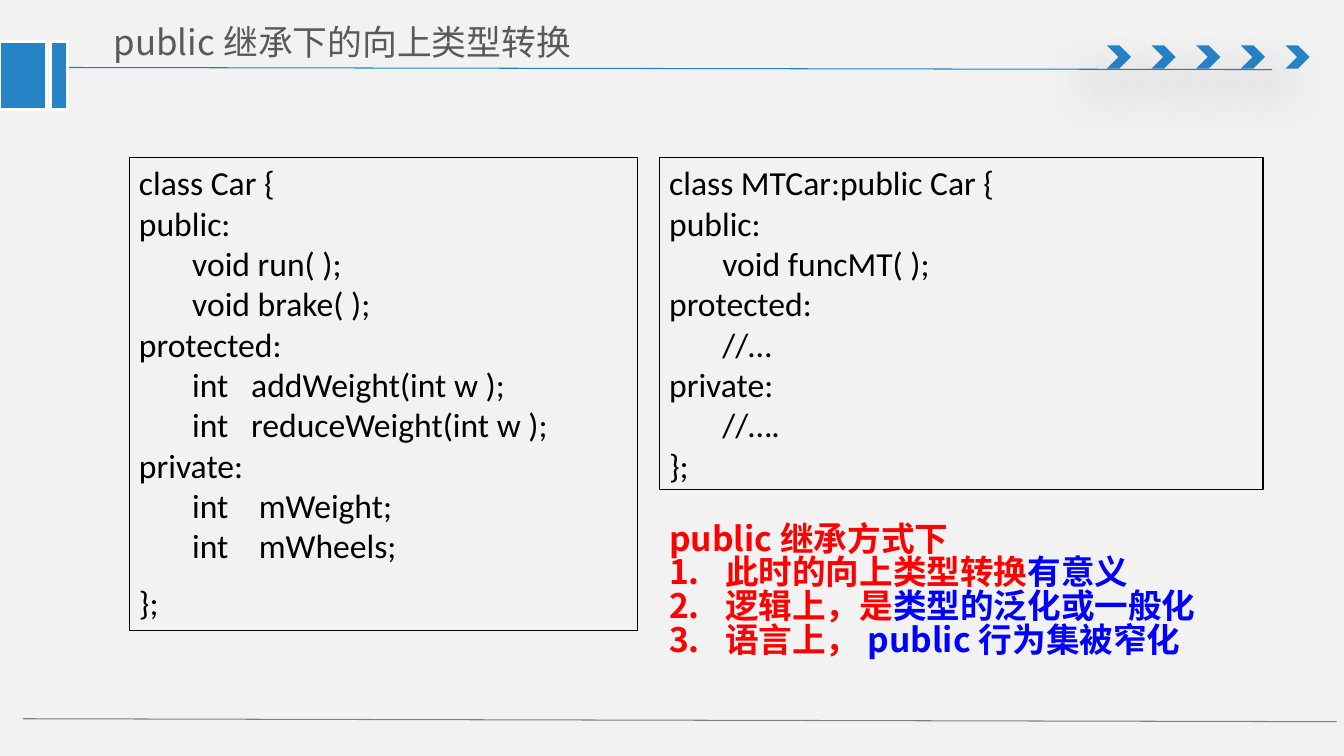
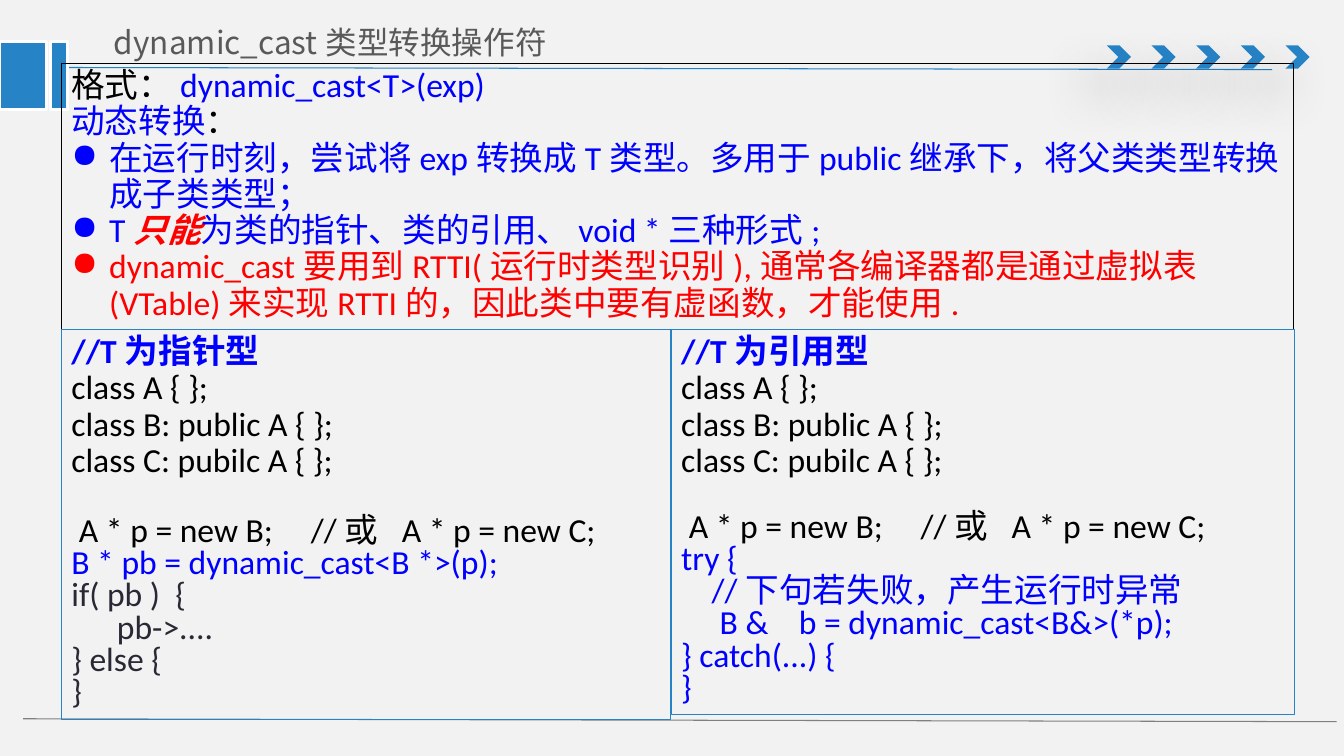
from dataclasses import dataclass
from typing import Optional

import lxml.etree
import pptx
import pptx.dml.color
import pptx.enum.dml
import pptx.enum.shapes
import pptx.enum.text
import pptx.oxml.ns
import pptx.util

Pt = pptx.util.Pt
RGBColor = pptx.dml.color.RGBColor
MSO_SHAPE = pptx.enum.shapes.MSO_SHAPE
qn = pptx.oxml.ns.qn

BACKGROUND = RGBColor(0xF2, 0xF2, 0xF2)
ACCENT = RGBColor(0x26, 0x83, 0xC6)
RULE = RGBColor(0x21, 0x81, 0xC6)
GREY = RGBColor(0x80, 0x80, 0x80)
TITLE = RGBColor(0x59, 0x59, 0x59)
WHITE = RGBColor(0xFF, 0xFF, 0xFF)
BLACK = RGBColor(0, 0, 0)
RED = RGBColor(0xFF, 0, 0)
BLUE = RGBColor(0, 0, 0xFF)
DARK = RGBColor(0x29, 0x28, 0x34)

LATIN = "Calibri"
CJK = "Noto Sans CJK SC"


@dataclass(frozen=True)
class Run:
    text: str
    color: RGBColor = BLACK
    bold: bool = False
    italic: bool = False


@dataclass(frozen=True)
class Para:
    runs: tuple[Run, ...]
    spacing: float = 1.0
    before: float = 0
    bullet: str = ""
    indent: float = 0


@dataclass(frozen=True)
class Box:
    left: float
    top: float
    width: float
    height: float
    paras: tuple[Para, ...]
    line: Optional[RGBColor] = None
    font: str = LATIN


def add_text(p, text: str, *, color: RGBColor, size: float = 24, font: str = LATIN,
             bold: bool = False, italic: bool = False) -> None:
    for i, part in enumerate(text.split("\n")):
        if i:
            p.add_line_break()
        if not part:
            continue
        r = p.add_run()
        r.text = part
        r.font.size = Pt(size)
        r.font.bold = bold
        r.font.italic = italic
        r.font.color.rgb = color
        r.font.name = font
        lxml.etree.SubElement(r.font._element, qn("a:ea"), typeface=font)


def set_bullet(p, bullet: str, indent: float) -> None:
    pPr = p._p.get_or_add_pPr()
    pPr.set("marL", str(Pt(indent)))
    pPr.set("indent", str(-Pt(indent)))
    if bullet == "1.":
        lxml.etree.SubElement(pPr, qn("a:buAutoNum"), type="arabicPeriod")
    else:
        lxml.etree.SubElement(pPr, qn("a:buChar"), char=bullet)


def add_box(s, box: Box) -> None:
    place = (Pt(box.left), Pt(box.top), Pt(box.width), Pt(box.height))
    if box.line is None:
        sp = s.shapes.add_textbox(*place)
    else:
        sp = s.shapes.add_shape(MSO_SHAPE.RECTANGLE, *place)
        sp.shadow.inherit = False
        sp.fill.background()
        sp.line.color.rgb = box.line
        sp.line.width = Pt(0.75)
    tf = sp.text_frame
    tf.word_wrap = True
    tf.vertical_anchor = pptx.enum.text.MSO_ANCHOR.TOP
    for i, para in enumerate(box.paras):
        p = tf.add_paragraph() if i else tf.paragraphs[0]
        if para.bullet:
            set_bullet(p, para.bullet, para.indent)
        p.alignment = pptx.enum.text.PP_ALIGN.LEFT
        p.line_spacing = para.spacing
        if para.before:
            p.space_before = Pt(para.before)
        for run in para.runs:
            add_text(p, run.text, color=run.color, font=box.font,
                     bold=run.bold, italic=run.italic)


def add_rule(s, x1: float, y1: float, x2: float, y2: float, color: RGBColor):
    line = s.shapes.add_connector(pptx.enum.shapes.MSO_CONNECTOR.STRAIGHT,
                                  Pt(x1), Pt(y1), Pt(x2), Pt(y2))
    line.line.color.rgb = color
    line.line.width = Pt(0.75)
    lxml.etree.SubElement(line._element.spPr, qn("a:effectLst"))
    return line


def add_accent(s, kind: MSO_SHAPE, left: float, top: float, width: float, height: float):
    sp = s.shapes.add_shape(kind, Pt(left), Pt(top), Pt(width), Pt(height))
    sp.shadow.inherit = False
    sp.fill.solid()
    sp.fill.fore_color.rgb = ACCENT
    sp.line.fill.background()
    return sp


def add_chevron(s, left: float):
    sp = add_accent(s, MSO_SHAPE.CHEVRON, left, 32.4, 17.3, 16.6)
    effects = sp._element.spPr.find(qn("a:effectLst"))
    shadow = lxml.etree.SubElement(effects, qn("a:outerShdw"), blurRad=str(Pt(36)),
                                   dist=str(Pt(24)), dir=str(130 * 60000), rotWithShape="0")
    color = lxml.etree.SubElement(shadow, qn("a:srgbClr"), val=str(BLACK))
    lxml.etree.SubElement(color, qn("a:alpha"), val="38000")
    return sp


def add_tab(s, left: float, width: float):
    sp = add_accent(s, MSO_SHAPE.RECTANGLE, left, 29.5, width, 49)
    sp.line.color.rgb = WHITE
    sp.line.width = Pt(2)
    return sp


def build_layout(prs, s) -> None:
    fill = prs.slide_master.background.fill
    fill.solid()
    fill.fore_color.rgb = BACKGROUND
    layout = s.slide_layout
    for ph in list(layout.placeholders):
        if ph.placeholder_format.type != pptx.enum.shapes.PP_PLACEHOLDER.TITLE:
            ph.element.getparent().remove(ph.element)
    parts = [add_rule(s, 38.2, 48.2, 908.6, 49.7, RULE)]
    parts += [add_chevron(s, 790.6 + 31.9 * i) for i in range(5)]
    parts += [add_rule(s, 16.6, 513.4, 954.7, 515.5, GREY),
              add_tab(s, 0, 33.1), add_tab(s, 36, 12.2)]
    for part in parts:
        layout.shapes.element.append(part._element)


def set_title(s, text: str, width: float, size: float) -> None:
    sp = s.shapes.title
    sp.left, sp.top, sp.width, sp.height = Pt(71.3), Pt(10.1), Pt(width), Pt(39.6)
    tf = sp.text_frame
    tf.word_wrap = True
    tf.auto_size = pptx.enum.text.MSO_AUTO_SIZE.NONE
    tf.vertical_anchor = pptx.enum.text.MSO_ANCHOR.MIDDLE
    tf.margin_left = tf.margin_right = Pt(10)
    tf.margin_top = tf.margin_bottom = Pt(5)
    p = tf.paragraphs[0]
    p.alignment = pptx.enum.text.PP_ALIGN.LEFT
    add_text(p, text, color=TITLE, size=size, font=CJK)


def numbered(lead: str, rest: str) -> Para:
    return Para((Run(lead, RED, True), Run(rest, BLUE, True)), 0.84, bullet="1.", indent=40)


def bulleted(*runs: Run) -> Para:
    return Para(runs, 0.9, bullet="●", indent=27)


CAR = """class Car {
public:
       void run( );
       void brake( );
protected:
       int   addWeight(int w );
       int   reduceWeight(int w );
private:
       int    mWeight;
       int    mWheels;"""

MTCAR = """class MTCar:public Car {
public:
       void funcMT( );
protected:
       //…
private:
       //….
};"""

CLASSES = """
class A { };
class B: public A { };
class C: pubilc A { };"""

CREATE = " A * p = new B;     //或  A * p = new C;\n"

POINTER_CAST = "B * pb = dynamic_cast<B *>(p);\n"

POINTER_CHECK = """if( pb )  {
      pb->....
} else {
}"""

REFERENCE_CAST = """try {
    //下句若失败，产生运行时异常
    B &    b = dynamic_cast<B&>(*p);
} catch(...) {
}"""

UPCAST_BOXES = (
    Box(470.9, 370.8, 430.6, 124.6, (
        Para((Run("public继承方式下", RED, True),), 0.84),
        numbered("此时的向上类型转换", "有意义"),
        numbered("逻辑上，是", "类型的泛化或一般化"),
        numbered("语言上，", "public行为集被窄化"),
    ), font=CJK),
    Box(92.2, 112.3, 362.9, 338.4,
        (Para((Run(CAR),)), Para((Run("};"),), before=12)), BLACK),
    Box(470.9, 112.3, 431.3, 237.6, (Para((Run(MTCAR),)),), BLACK),
)

CAST_BOXES = (
    Box(43.9, 45.4, 879.8, 190.1, (
        Para((Run("格式："), Run("dynamic_cast<T>(exp)", BLUE)), 0.9),
        Para((Run("动态转换", BLUE), Run("：")), 0.9),
        bulleted(Run("在运行时刻，尝试将exp转换成T类型。多用于public继承下，"
                     "将父类类型转换成子类类型；", BLUE)),
        bulleted(Run("T", BLUE), Run("只能", RED, True, True),
                 Run("为类的指针、类的引用、void *三种形式;", BLUE)),
        bulleted(Run("dynamic_cast要用到RTTI(运行时类型识别),通常各编译器都是通过"
                     "虚拟表(VTable)来实现RTTI的，因此类中要有虚函数，才能使用.", RED)),
    ), BLACK),
    Box(43.9, 235.4, 434.9, 278.6, (
        Para((Run("//T为指针型", BLUE, True), Run(CLASSES)), 0.9),
        Para((Run(CREATE), Run(POINTER_CAST, BLUE), Run(POINTER_CHECK, DARK)), 0.8, 26.4),
    ), ACCENT),
    Box(479.5, 235.4, 445, 275, (
        Para((Run("//T为引用型", BLUE, True), Run(CLASSES)), 0.9),
        Para((Run(CREATE), Run(REFERENCE_CAST, BLUE)), 0.8, 23.4),
    ), ACCENT),
)

SLIDES = (
    ("public继承下的向上类型转换", 429, 24.9, UPCAST_BOXES),
    ("dynamic_cast类型转换操作符", 333.4, 22.5, CAST_BOXES),
)


def main() -> None:
    prs = pptx.Presentation()
    prs.slide_width, prs.slide_height = Pt(960), Pt(540)
    for i, (title, width, size, boxes) in enumerate(SLIDES):
        s = prs.slides.add_slide(prs.slide_layouts[5])
        if i == 0:
            build_layout(prs, s)
        set_title(s, title, width, size)
        for box in boxes:
            add_box(s, box)
    prs.save("out.pptx")


if __name__ == "__main__":
    main()
